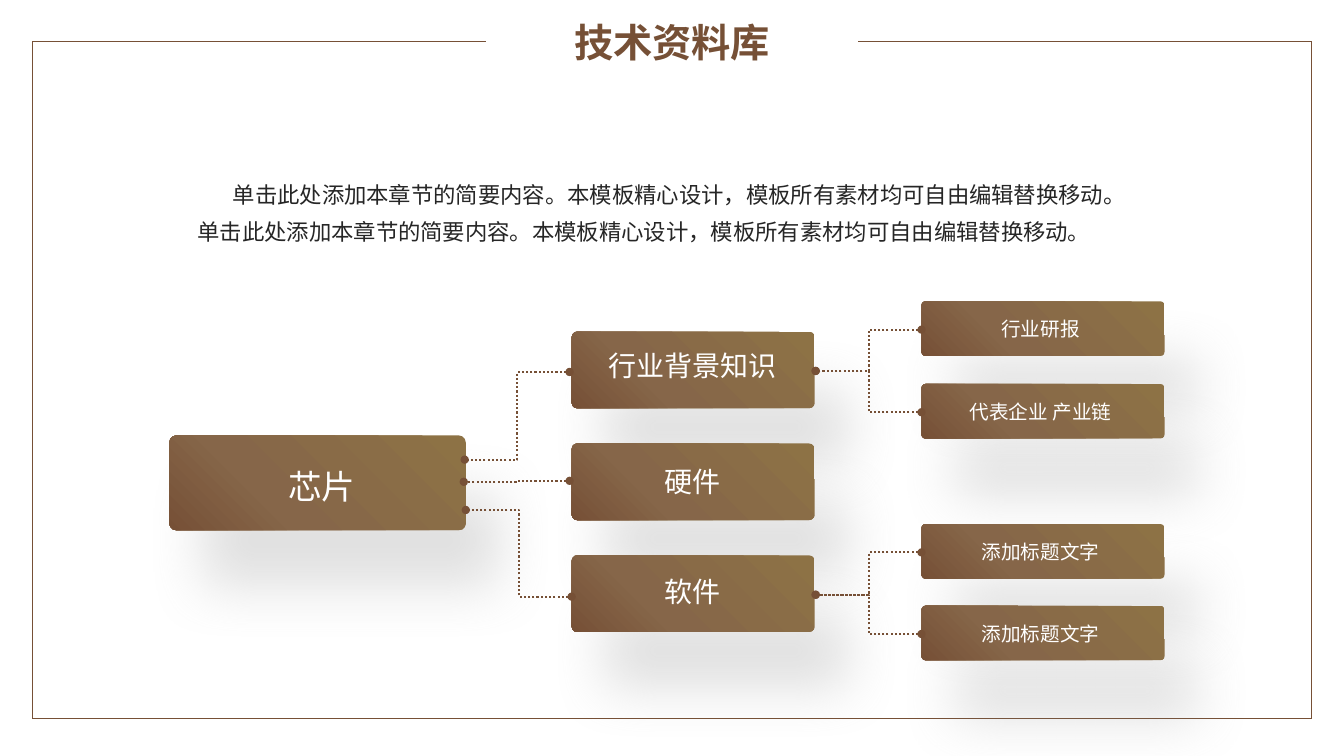
from copy import deepcopy

from lxml.etree import SubElement
from pptx import Presentation
from pptx.dml.color import RGBColor
from pptx.enum.dml import MSO_LINE
from pptx.enum.shapes import MSO_CONNECTOR, MSO_SHAPE
from pptx.enum.text import MSO_ANCHOR, PP_ALIGN
from pptx.oxml.ns import qn
from pptx.util import Inches, Pt

COLORS = {
    "brown": "765036",
    "taupe": "866649",
    "olive": "8D7245",
    "shadow": "808080",
    "white": "FFFFFF",
    "ink": "262626",
}


class SlideBuilder:
    font_name = "Noto Sans CJK SC"
    card_stops = ((0, "olive"), (0.67, "taupe"), (1, "brown"))

    def __init__(self, page):
        self.page = page

    def color(self, name):
        return RGBColor.from_string(COLORS[name])

    def text(self, words, left, top, width, height, size, color="white", bold=False,
             align=PP_ALIGN.CENTER, anchor=MSO_ANCHOR.TOP, insets=(0.1, 0.05), wrap=True):
        box = self.page.shapes.add_textbox(*map(Inches, (left, top, width, height)))
        frame = box.text_frame
        frame.word_wrap = wrap
        frame.vertical_anchor = anchor
        frame.margin_left = frame.margin_right = Inches(insets[0])
        frame.margin_top = frame.margin_bottom = Inches(insets[1])
        paragraph = frame.paragraphs[0]
        paragraph.text = words
        paragraph.alignment = align
        font = paragraph.font
        font.size = Pt(size)
        font.bold = bold
        font.color.rgb = self.color(color)
        font.name = self.font_name
        properties = paragraph._p.pPr.find(qn("a:defRPr"))
        SubElement(properties, qn("a:ea"), typeface=self.font_name)
        return paragraph

    def card(self, left, top, width, height):
        card = self.page.shapes.add_shape(
            MSO_SHAPE.ROUNDED_RECTANGLE, *map(Inches, (left, top, width, height)))
        card.adjustments[0] = 0.073
        card.line.fill.background()
        card.fill.gradient()
        card.fill.gradient_angle = 225
        properties = card._element.spPr
        stop_list = properties.find(qn("a:gradFill")).find(qn("a:gsLst"))
        stop_list.append(deepcopy(stop_list[-1]))
        for stop, (position, name) in zip(card.fill.gradient_stops, self.card_stops):
            stop.position = position
            stop.color.rgb = self.color(name)
        card.shadow.inherit = False
        shadow = SubElement(
            properties.find(qn("a:effectLst")), qn("a:outerShdw"),
            blurRad=str(Pt(40)), dist=str(Pt(47)), dir="3600000", rotWithShape="0")
        tint = SubElement(shadow, qn("a:srgbClr"), val=COLORS["shadow"])
        SubElement(tint, qn("a:alpha"), val="23000")

    def line(self, shapes, kind, start, end, weight):
        line = shapes.add_connector(kind, *map(Inches, (*start, *end)))
        line.line.color.rgb = self.color("brown")
        line.line.width = Pt(weight)
        SubElement(line._element.spPr, qn("a:effectLst"))
        return line

    def frame(self, left, top, right, bottom, gap_left, gap_right):
        group = self.page.shapes.add_group_shape()
        corners = ((gap_right, top), (right, top), (right, bottom),
                   (left, bottom), (left, top), (gap_left, top))
        for start, end in zip(corners, corners[1:]):
            self.line(group.shapes, MSO_CONNECTOR.STRAIGHT, start, end, 1)

    def branch(self, start, end):
        branch = self.line(self.page.shapes, MSO_CONNECTOR.ELBOW, start, end, 1.5)
        branch.line.dash_style = MSO_LINE.ROUND_DOT
        outline = branch.line._get_or_add_ln()
        for tip in ("a:headEnd", "a:tailEnd"):
            SubElement(outline, qn(tip), type="oval")


def main():
    deck = Presentation()
    deck.slide_width, deck.slide_height = Inches(13.33), Inches(7.5)
    slide = SlideBuilder(deck.slides.add_slide(deck.slide_layouts[6]))

    slide.frame(0.32, 0.41, 13.01, 7.13, 4.82, 8.51)
    slide.text("技术资料库", 5.58, 0.13, 2.17, 0.57, 28, "brown", bold=True, wrap=False)

    label_style = {"anchor": MSO_ANCHOR.MIDDLE, "insets": (0.07, 0.04)}
    topics = (("行业背景知识", 3.42), ("硬件", 4.57), ("软件", 5.67))
    for row, (topic, label_top) in enumerate(topics):
        slide.card(5.67, 3.29 + 1.11 * row, 2.41, 0.76)
        slide.text(topic, 5.92, label_top, 1.89, 0.4, 20, **label_style)

    slide.card(1.68, 4.32, 2.94, 0.94)
    slide.text("芯片", 1.98, 4.57, 2.42, 0.5, 24)

    details = (("行业研报", 2.99), ("代表企业 产业链", 3.81),
               ("添加标题文字", 5.2), ("添加标题文字", 6.01))
    for detail, top in details:
        slide.card(9.14, top, 2.41, 0.54)
        slide.text(detail, 9.47, top + 0.09, 1.7, 0.37, 14, **label_style)

    for start, end in (((5.65, 3.69), (4.61, 4.56)),
                       ((5.67, 5.92), (4.62, 5.06)),
                       ((5.65, 4.77), (4.6, 4.78))):
        slide.branch(start, end)
    for (detail, top), topic_middle in zip(details, (3.68, 3.68, 5.9, 5.9)):
        slide.branch((9.14, top + 0.28), (8.09, topic_middle))

    sentence = "单击此处添加本章节的简要内容。本模板精心设计，模板所有素材均可自由编辑替换移动。"
    summary = slide.text(sentence * 2, 1.86, 1.64, 9.61, 0.85, 16, "ink", align=PP_ALIGN.LEFT)
    summary.line_spacing = 1.4
    summary._p.pPr.set("indent", str(Inches(0.35)))

    deck.save("out.pptx")


if __name__ == "__main__":
    main()
